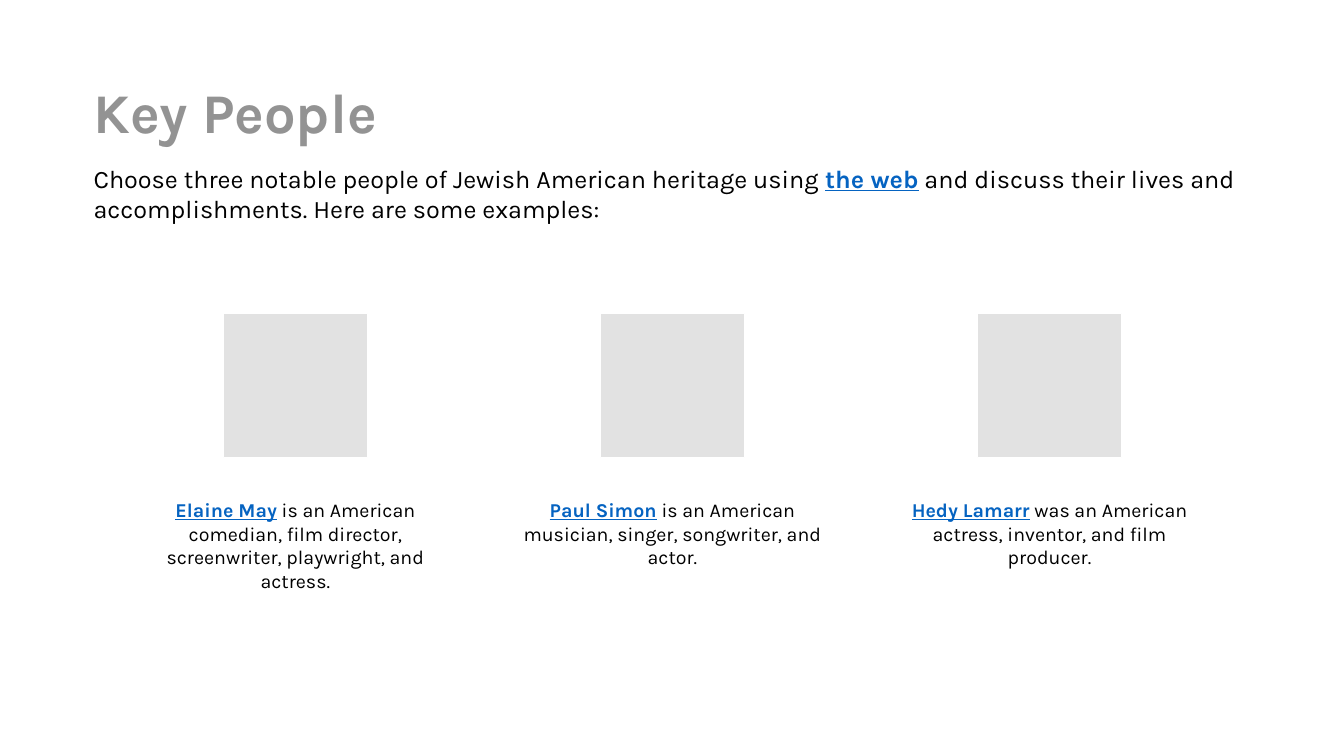
from pptx import Presentation, util as u
from pptx.dml.color import RGBColor
from pptx.enum import shapes, text

GREY, BLACK, BLUE, TILE, WHITE = "939393", "000000", "0563C1", "E2E2E2", "FFFFFF"
FIRST_CENTRE, PITCH = 2.93, 3.74
TILE_SIZE, CAPTION_WIDTH = 1.43, 3.18
PEOPLE = [
    ("Elaine May", " is an American comedian, film director, screenwriter, playwright, and actress."),
    ("Paul Simon", " is an American musician, singer, songwriter, and actor."),
    ("Hedy Lamarr", " was an American actress, inventor, and film producer."),
]


def rgb(value):
    """Turn a hex string into a colour."""
    return RGBColor.from_string(value)


class Deck:
    """Holds the style and the current slide."""

    font = "Karla"

    def __init__(self, prs):
        """Add a blank slide to the presentation."""
        self.s = prs.slides.add_slide(prs.slide_layouts[6])

    def column(self, i, width):
        """Left edge of an element centred in column i."""
        return FIRST_CENTRE + i * PITCH - width / 2

    def tile(self, left, top, size):
        """Draw a square portrait tile."""
        sp = self.s.shapes.add_shape(shapes.MSO_SHAPE.RECTANGLE,
                                     *map(u.Inches, (left, top, size, size)))
        sp.shadow.inherit = False
        sp.fill.solid()
        sp.fill.fore_color.rgb = rgb(TILE)
        sp.line.color.rgb = rgb(WHITE)
        sp.line.width = u.Pt(1)

    def text(self, box, runs, size, inset=True, centre=False,
             anchor=text.MSO_ANCHOR.TOP, spacing=1.0):
        """Write one paragraph from (words, colour, bold, underline) runs."""
        tf = self.s.shapes.add_textbox(*map(u.Inches, box)).text_frame
        tf.word_wrap = True
        tf.vertical_anchor = anchor
        if not inset:
            tf.margin_left = tf.margin_right = tf.margin_top = tf.margin_bottom = 0
        p = tf.paragraphs[0]
        p.alignment = text.PP_ALIGN.CENTER if centre else text.PP_ALIGN.LEFT
        p.line_spacing = spacing
        for words, colour, bold, underline in runs:
            r = p.add_run()
            r.text = words
            r.font.name, r.font.size = self.font, u.Pt(size)
            r.font.bold, r.font.underline = bold, underline
            r.font.color.rgb = rgb(colour)


def plain(words):
    """Style for running text."""
    return words, BLACK, False, False


def link(words):
    """Style for a highlighted name."""
    return words, BLUE, True, True


prs = Presentation()
prs.slide_width, prs.slide_height = u.Inches(13.33), u.Inches(7.5)
deck = Deck(prs)

deck.text((0.83, 0.78, 11.58, 0.71), [("Key People", GREY, True, False)], 40,
          anchor=text.MSO_ANCHOR.BOTTOM, spacing=0.9)
deck.text((0.83, 1.57, 11.67, 1.01), [
    plain("Choose three notable people of Jewish American heritage using "),
    link("the web"),
    plain(" and discuss their lives and accomplishments. Here are some examples:")], 18)

for i, (name, story) in enumerate(PEOPLE):
    deck.tile(deck.column(i, TILE_SIZE), 3.11, TILE_SIZE)
    deck.text((deck.column(i, CAPTION_WIDTH), 4.94, CAPTION_WIDTH, 0.79),
              [link(name), plain(story)], 14, inset=False, centre=True)

prs.save("out.pptx")
